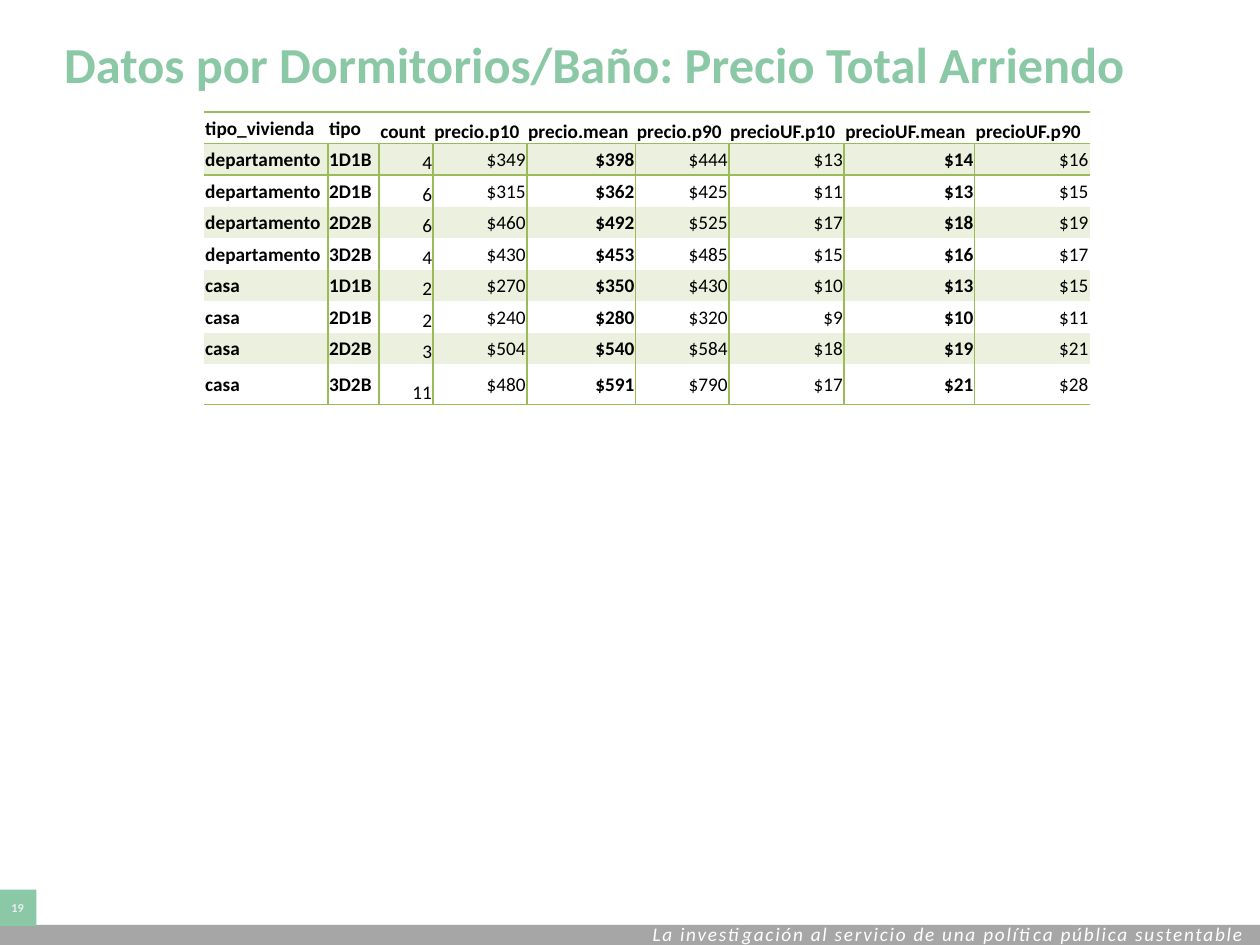
from pptx import Presentation
from pptx import util as u
from pptx.dml.color import RGBColor
from pptx.enum import shapes, text
from pptx.oxml import parse_xml
from pptx.oxml.ns import nsdecls

Pt = u.Pt
MINT = RGBColor(0x8B, 0xC8, 0xA6)
GREY = RGBColor(0xA6, 0xA6, 0xA6)
PALE = RGBColor(0xEC, 0xEC, 0xEC)
WHITE = RGBColor(0xFF, 0xFF, 0xFF)
BLACK = RGBColor(0, 0, 0)
OLIVE = RGBColor(0x9B, 0xBB, 0x59)
BAND = RGBColor(0xEB, 0xF1, 0xDE)

PLAIN_TABLE = "{2D5ABB26-0587-4C30-8999-92F81FD0307C}"
COL_WIDTHS = [70.8, 29.3, 30.9, 53.6, 62.1, 53.4, 65.8, 74.5, 65.8]
ROW_HEIGHTS = [18] * 8 + [23]
BOLD_COLS = {0, 1, 4, 7}
COUNT_COL = 2
RULED_COLS = {0, 1, 2, 3, 5, 6}  # columns with a rule on their right

HEADER = ["tipo_vivienda", "tipo", "count", "precio.p10", "precio.mean",
          "precio.p90", "precioUF.p10", "precioUF.mean", "precioUF.p90"]
RENTS = [
    ["departamento", "1D1B", 4, 349, 398, 444, 13, 14, 16],
    ["departamento", "2D1B", 6, 315, 362, 425, 11, 13, 15],
    ["departamento", "2D2B", 6, 460, 492, 525, 17, 18, 19],
    ["departamento", "3D2B", 4, 430, 453, 485, 15, 16, 17],
    ["casa", "1D1B", 2, 270, 350, 430, 10, 13, 15],
    ["casa", "2D1B", 2, 240, 280, 320, 9, 10, 11],
    ["casa", "2D2B", 3, 504, 540, 584, 18, 19, 21],
    ["casa", "3D2B", 11, 480, 591, 790, 17, 21, 28],
]


class Deck:
    def __init__(self, font="Calibri"):
        self.font = font
        self.prs = Presentation()
        self.prs.slide_width, self.prs.slide_height = Pt(720), Pt(540)
        self.s = self.prs.slides.add_slide(self.prs.slide_layouts[5])

    def set_text(self, tf, words, size, color, bold=False, italic=False,
                 align=text.PP_ALIGN.LEFT):
        tf.text = words
        p = tf.paragraphs[0]
        p.alignment = align
        f = p.font
        f.name, f.size, f.bold, f.italic = self.font, Pt(size), bold, italic
        f.color.rgb = color
        return p

    def inset(self, box, side, top, bottom):
        """Set the margins of a text frame or a table cell."""
        box.margin_left = box.margin_right = Pt(side)
        box.margin_top, box.margin_bottom = Pt(top), Pt(bottom)

    def title(self, words, left, top, width, height):
        sp = self.s.shapes.title
        sp.left, sp.top, sp.width, sp.height = map(Pt, (left, top, width, height))
        tf = sp.text_frame
        tf.auto_size = text.MSO_AUTO_SIZE.NONE
        tf.vertical_anchor = text.MSO_ANCHOR.MIDDLE
        self.inset(tf, 2.9, 1.4, 1.4)
        self.set_text(tf, words, 28.8, MINT, bold=True)

    def rect(self, left, top, width, height, fill):
        sp = self.s.shapes.add_shape(shapes.MSO_SHAPE.RECTANGLE,
                                     *map(Pt, (left, top, width, height)))
        sp.shadow.inherit = False
        sp.fill.solid()
        sp.fill.fore_color.rgb = fill
        sp.line.fill.background()
        return sp

    def page_number(self, number, left, top, width, height):
        tf = self.rect(left, top, width, height, MINT).text_frame
        tf.vertical_anchor = text.MSO_ANCHOR.MIDDLE
        self.inset(tf, 0, 0, 0)
        self.set_text(tf, number, 7, PALE, bold=True, align=text.PP_ALIGN.CENTER)

    def motto(self, words, left, top, width, height):
        tf = self.s.shapes.add_textbox(*map(Pt, (left, top, width, height))).text_frame
        tf.word_wrap = True
        p = self.set_text(tf, words, 11, WHITE, italic=True)
        p.runs[0]._r.get_or_add_rPr().set("spc", "100")

    def borders(self, cell, sides):
        """Rule the given sides, a string in the schema order L, R, T, B."""
        tcPr = cell._tc.get_or_add_tcPr()
        for i, side in enumerate(sides):
            tcPr.insert(i, parse_xml(
                f'<a:ln{side} {nsdecls("a")} w="12700"><a:solidFill>'
                f'<a:srgbClr val="{OLIVE}"/></a:solidFill></a:ln{side}>'))

    def cell(self, cell, row, col, value):
        head = row == 0
        number = not head and col >= COUNT_COL
        words = f"${value}" if number and col > COUNT_COL else str(value)
        low = col == COUNT_COL or (head and col > COUNT_COL)
        cell.vertical_anchor = text.MSO_ANCHOR.BOTTOM if low else text.MSO_ANCHOR.MIDDLE
        self.inset(cell, 0.7, 0.7, 0)
        self.set_text(cell.text_frame, words, 11, BLACK, bold=head or col in BOLD_COLS,
                      align=text.PP_ALIGN.RIGHT if number else text.PP_ALIGN.LEFT)
        if row % 2:
            cell.fill.solid()
            cell.fill.fore_color.rgb = BAND
        else:
            cell.fill.background()
        if head:
            sides = "TB"
        else:
            sides = ("L" * (col - 1 in RULED_COLS) + "R" * (col in RULED_COLS)
                     + "T" * (row == 1) + "B" * (row == len(RENTS)))
        self.borders(cell, sides)

    def table(self, rows, left, top):
        frame = self.s.shapes.add_table(
            len(rows), len(COL_WIDTHS), Pt(left), Pt(top),
            Pt(sum(COL_WIDTHS)), Pt(sum(ROW_HEIGHTS)))
        tbl = frame.table
        tbl._tbl.tblPr.find(".//{*}tableStyleId").text = PLAIN_TABLE
        for column, width in zip(tbl.columns, COL_WIDTHS):
            column.width = Pt(width)
        for i, (values, height) in enumerate(zip(rows, ROW_HEIGHTS)):
            tbl.rows[i].height = Pt(height)
            for j, value in enumerate(values):
                self.cell(tbl.cell(i, j), i, j, value)


def main():
    deck = Deck()
    deck.rect(-0.7, 528.5, 722, 11.5, GREY)
    deck.motto("La investigación al servicio de una política pública sustentable",
               365.8, 523.4, 405.4, 20.9)
    deck.page_number("19", -0.7, 508.3, 21.6, 20.9)
    deck.title("Datos por Dormitorios/Baño: Precio Total Arriendo", 33.8, 3.6, 671.8, 65.5)
    deck.table([HEADER] + RENTS, 116.6, 64.1)
    deck.prs.save("out.pptx")


if __name__ == "__main__":
    main()
